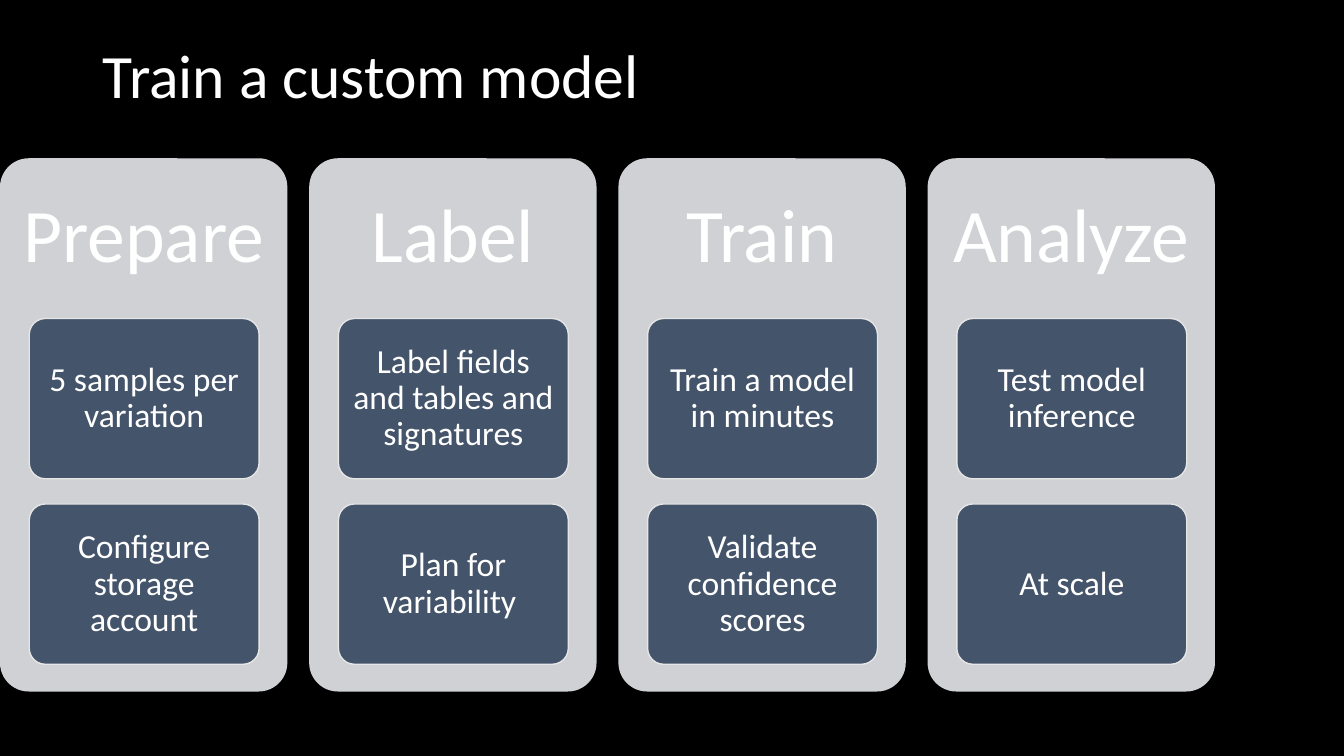
import pptx
import pptx.dml.color
import pptx.enum.shapes
import pptx.enum.text
import pptx.util

Inches = pptx.util.Inches
RGBColor = pptx.dml.color.RGBColor
PP_ALIGN = pptx.enum.text.PP_ALIGN
MSO_ANCHOR = pptx.enum.text.MSO_ANCHOR

BLACK = RGBColor(0x00, 0x00, 0x00)
WHITE = RGBColor(0xFF, 0xFF, 0xFF)
PANEL = RGBColor(0xCF, 0xD1, 0xD4)
CARD = RGBColor(0x44, 0x54, 0x6A)
CARD_LINE = RGBColor(0xE7, 0xE6, 0xE6)

STAGES = [
    ("Prepare", ["5 samples per variation", "Configure storage account"]),
    ("Label", ["Label fields and tables and signatures", "Plan for variability "]),
    ("Train", ["Train a model in minutes", "Validate confidence scores"]),
    ("Analyze", ["Test model inference", "At scale"]),
]
PANEL_TOP, PANEL_W, PANEL_H = 1.57, 2.85, 5.29
PITCH = 9.2 / 3
CARD_LEFT, CARD_TOP, CARD_W, CARD_H = 0.29, 3.16, 2.28, 1.59
CARD_PITCH = 1.84


class StageSlide:
    """Draw a titled slide of stage panels in one shared style."""

    font = "Calibri"

    def __init__(self, prs):
        self.s = prs.slides.add_slide(prs.slide_layouts[5])
        self.s.background.fill.solid()
        self.s.background.fill.fore_color.rgb = BLACK

    def set_text(self, sp, text, size, align, anchor, inset_x, inset_y):
        tf = sp.text_frame
        tf.word_wrap = True
        tf.auto_size = pptx.enum.text.MSO_AUTO_SIZE.NONE
        tf.vertical_anchor = anchor
        tf.margin_left = tf.margin_right = Inches(inset_x)
        tf.margin_top = tf.margin_bottom = Inches(inset_y)
        p = tf.paragraphs[0]
        p.alignment = align
        p.line_spacing = 0.9
        p.space_before = pptx.util.Pt(0)
        r = p.add_run()
        r.text = text
        r.font.name = self.font
        r.font.size = pptx.util.Pt(size)
        r.font.color.rgb = WHITE

    def title(self, text, left, top, width, height):
        sp = self.s.shapes.title
        sp.left, sp.top = Inches(left), Inches(top)
        sp.width, sp.height = Inches(width), Inches(height)
        self.set_text(sp, text, 44, PP_ALIGN.LEFT, MSO_ANCHOR.TOP, 0.1, 0.05)

    def rounded(self, left, top, width, height, fill):
        sp = self.s.shapes.add_shape(
            pptx.enum.shapes.MSO_SHAPE.ROUNDED_RECTANGLE,
            Inches(left), Inches(top), Inches(width), Inches(height))
        sp.adjustments[0] = 0.1
        sp.shadow.inherit = False
        sp.fill.solid()
        sp.fill.fore_color.rgb = fill
        sp.line.fill.background()
        return sp

    def heading(self, text, left, top, width, height):
        sp = self.s.shapes.add_textbox(
            Inches(left), Inches(top), Inches(width), Inches(height))
        self.set_text(sp, text, 54, PP_ALIGN.CENTER, MSO_ANCHOR.MIDDLE, 0.2, 0.23)

    def card(self, text, left, top):
        sp = self.rounded(left, top, CARD_W, CARD_H, CARD)
        sp.line.color.rgb = CARD_LINE
        sp.line.width = pptx.util.Pt(1)
        self.set_text(sp, text, 24, PP_ALIGN.CENTER, MSO_ANCHOR.MIDDLE, 0.07, 0.05)

    def stage(self, name, steps, left):
        self.rounded(left, PANEL_TOP, PANEL_W, PANEL_H, PANEL)
        self.heading(name, left, PANEL_TOP, PANEL_W, CARD_TOP - PANEL_TOP)
        for row, step in enumerate(steps):
            self.card(step, left + CARD_LEFT, CARD_TOP + row * CARD_PITCH)


def main():
    prs = pptx.Presentation()
    prs.slide_width, prs.slide_height = Inches(13.33), Inches(7.5)
    slide = StageSlide(prs)
    slide.title("Train a custom model", 0.92, 0.4, 11.5, 1.45)
    for column, (name, steps) in enumerate(STAGES):
        slide.stage(name, steps, column * PITCH)
    prs.save("out.pptx")


if __name__ == "__main__":
    main()
